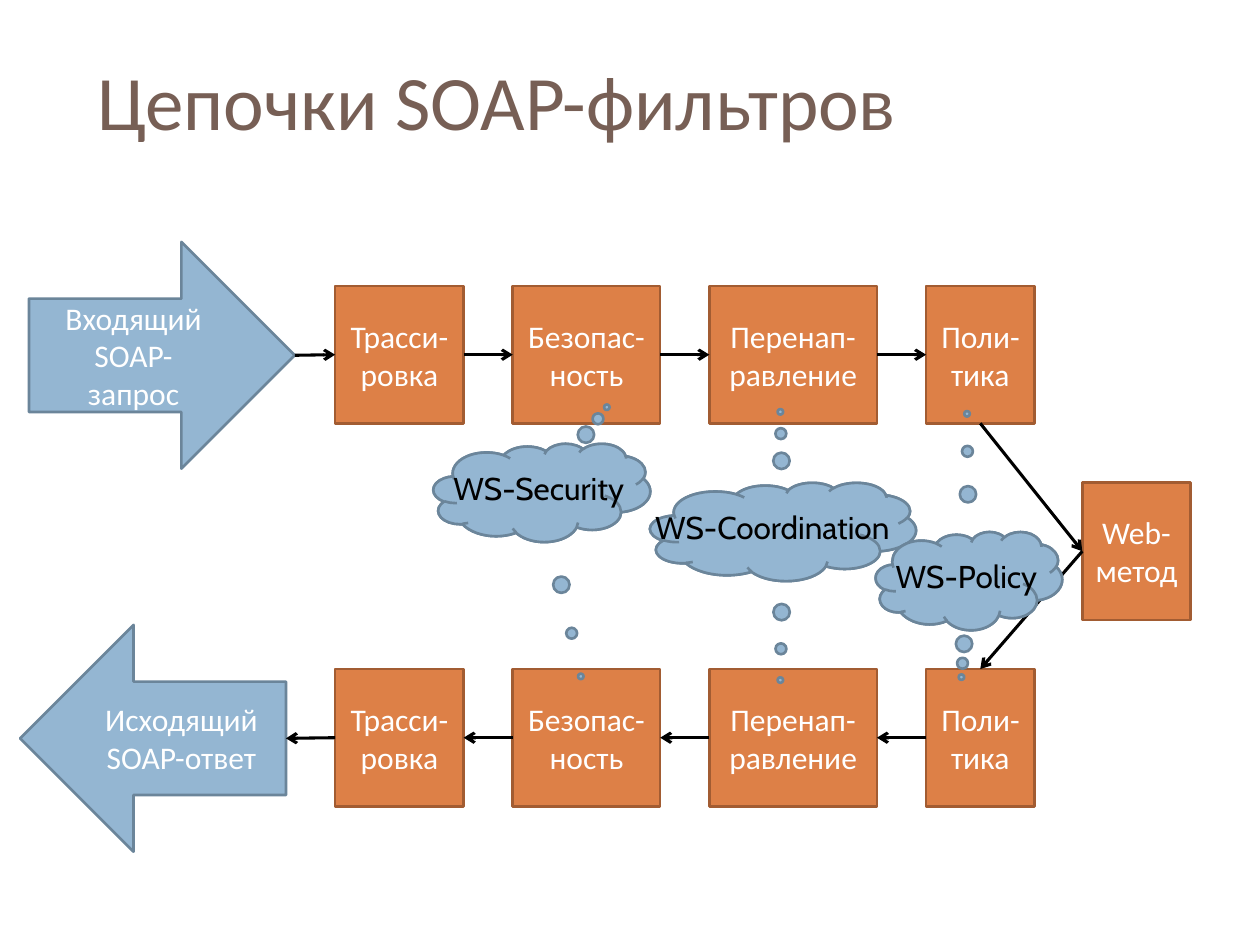
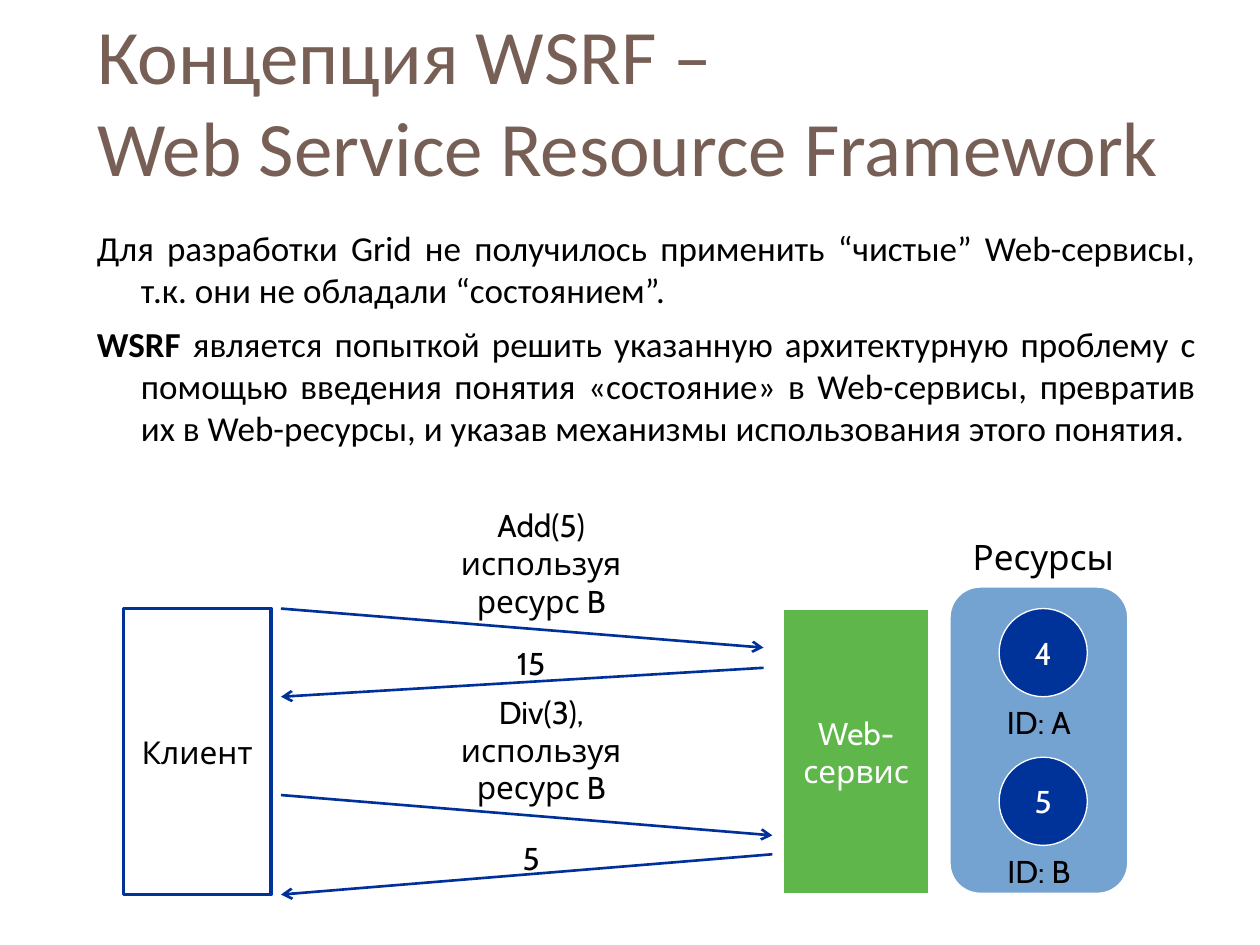
from itertools import pairwise

from lxml.etree import SubElement
from pptx import Presentation
from pptx.dml.color import RGBColor
from pptx.enum.shapes import MSO_CONNECTOR, MSO_SHAPE
from pptx.enum.text import MSO_ANCHOR, MSO_AUTO_SIZE, PP_ALIGN
from pptx.oxml.ns import qn
from pptx.util import Inches, Pt

COLORS = {
    "title": "775F55", "black": "000000", "white": "FFFFFF",
    "filter": "DD8047", "filter_edge": "A25C32",
    "message": "94B6D2", "message_edge": "6B859A",
    "navy": "003399", "call": "003099", "service": "5FB64A", "pool": "75A3D1",
}

# Slide 1: filter chains
CHAIN_TITLE = "Цепочки SOAP-фильтров"
FILTERS = [("Трасси-ровка", 1.02), ("Безопас-ность", 1.17),
           ("Перенап-равление", 1.33), ("Поли-тика", 0.86)]  # text, width
FILTER_LEFT, FILTER_GAP, FILTER_HEIGHT = 2.66, 0.39, 1.09
REQUEST_TOP, RESPONSE_TOP = 2.27, 5.31
REQUEST = ("Входящий SOAP-\nзапрос", (0.23, 1.92, 2.11, 1.8))
RESPONSE = ("Исходящий SOAP-ответ", (0.16, 4.96, 2.11, 1.8))
WEB_METHOD = ("Web-метод", (8.59, 3.83, 0.86, FILTER_HEIGHT))
# standard, cloud box, label left and width, pointers up and down
STANDARDS = [
    ("WS-Coordination", (5.16, 3.83, 2.11, 0.78), (5.1, 2.19),
     [(-0.01, -1.22), (-0.01, 1.51)]),
    ("WS-Security", (3.44, 3.52, 1.72, 0.78), (3.5, 1.59),
     [(0.3, -0.87), (0.18, 1.87)]),
    ("WS-Policy", (6.95, 4.22, 1.48, 0.78), (7.01, 1.33),
     [(-0.01, -1.7), (-0.04, 0.98)]),
]
TOP, LEFT, BOTTOM, RIGHT = range(4)  # connection sites

# Slide 2: WSRF
WSRF_TITLE = "Концепция WSRF –\vWeb Service Resource Framework"
WSRF_TEXT = [  # bold part, plain part
    ("", "Для разработки Grid не получилось применить “чистые” Web-сервисы, "
         "т.к. они не обладали “состоянием”."),
    ("WSRF", " является попыткой решить указанную архитектурную проблему "
             "с помощью введения понятия «состояние» в Web-сервисы, превратив "
             "их в Web-ресурсы, и указав механизмы использования этого понятия."),
]
CLIENT = ("Клиент", (0.98, 4.83, 1.17, 2.27))
SERVICE = ("Web-сервис", (6.21, 4.83, 1.17, 2.27))
POOL = ("Ресурсы", (7.54, 4.2, 1.48, 0.44), (7.54, 4.66, 1.41, 2.43))
RESOURCES = [("4", "ID: A"), ("5", "ID: B")]
RESOURCE_TOP, RESOURCE_STEP, RESOURCE_SIZE = 4.83, 1.18, 0.7
CALLS = [  # text, box, arrow start, arrow end
    ("Add(5) используя ресурс B", (3.32, 3.97, 1.95, 1), (2.23, 4.83), (6.06, 5.14)),
    ("15", (3.24, 5.06, 1.95, 0.4), (6.06, 5.3), (2.23, 5.53)),
    ("Div(3), используя ресурс B", (3.32, 5.45, 1.95, 1), (2.23, 6.31), (6.13, 6.63)),
    ("5", (3.24, 6.61, 1.95, 0.4), (6.13, 6.78), (2.23, 7.1)),
]


def rgb(color):
    return RGBColor.from_string(COLORS[color])


def inches(values):
    return [Inches(value) for value in values]


def style_font(font, size, name, color):
    for key, value in {"size": Pt(size), "name": name}.items():
        setattr(font, key, value)
    font.color.rgb = rgb(color)


def write(frame, text, size=18, name="Cabin", color="black",
          align=PP_ALIGN.CENTER, **frame_format):
    frame.text = text
    for key, value in {"word_wrap": True, **frame_format}.items():
        setattr(frame, key, value)
    for paragraph in frame.paragraphs:
        paragraph.alignment = align
        for run in paragraph.runs:
            style_font(run.font, size, name, color)


def add_titled_slide(deck, text):
    slide = deck.slides.add_slide(deck.slide_layouts[5])
    title = slide.shapes.title
    title.left, title.top, title.width, title.height = inches((0.67, 0.25, 8.92, 1.08))
    write(title.text_frame, text, 44, "Calibri", "title", PP_ALIGN.LEFT,
          vertical_anchor=MSO_ANCHOR.MIDDLE, auto_size=MSO_AUTO_SIZE.NONE)
    return slide


def add_figure(slide, kind, box, fill, edge, weight, text="", **text_format):
    figure = slide.shapes.add_shape(kind, *inches(box))
    figure.shadow.inherit = False
    figure.fill.solid()
    figure.fill.fore_color.rgb = rgb(fill)
    figure.line.color.rgb = rgb(edge)
    figure.line.width = Pt(weight)
    if text:
        write(figure.text_frame, text, vertical_anchor=MSO_ANCHOR.MIDDLE, **text_format)
    return figure


def add_label(slide, text, box, **text_format):
    label = slide.shapes.add_textbox(*inches(box))
    write(label.text_frame, text, auto_size=MSO_AUTO_SIZE.SHAPE_TO_FIT_TEXT, **text_format)


def add_arrow(slide, start, end, color, weight):
    arrow = slide.shapes.add_connector(MSO_CONNECTOR.STRAIGHT, *inches(start + end))
    arrow.line.color.rgb = rgb(color)
    arrow.line.width = Pt(weight)
    SubElement(arrow.line._get_or_add_ln(), qn("a:tailEnd"), type="arrow")
    SubElement(arrow._element.spPr, qn("a:effectLst"))
    return arrow


def link(slide, source, source_site, target, target_site):
    """Glue an arrow between the connection sites of two shapes."""
    arrow = add_arrow(slide, (0, 0), (1, 1), "black", 1.75)
    arrow.begin_connect(source, source_site)
    arrow.end_connect(target, target_site)


def add_filter(slide, text, box):
    return add_figure(slide, MSO_SHAPE.RECTANGLE, box, "filter", "filter_edge", 1.5,
                      text, name="Calibri", color="white")


def add_filter_row(slide, top):
    row, left = [], FILTER_LEFT
    for text, width in FILTERS:
        row.append(add_filter(slide, text, (left, top, width, FILTER_HEIGHT)))
        left += width + FILTER_GAP
    return row


def add_message(slide, kind, message):
    text, box = message
    return add_figure(slide, kind, box, "message", "message_edge", 1.5,
                      text, name="Calibri", color="white")


def build_chain_slide(deck):
    slide = add_titled_slide(deck, CHAIN_TITLE)
    request = add_message(slide, MSO_SHAPE.RIGHT_ARROW, REQUEST)
    response = add_message(slide, MSO_SHAPE.LEFT_ARROW, RESPONSE)
    inbound = add_filter_row(slide, REQUEST_TOP)
    outbound = add_filter_row(slide, RESPONSE_TOP)
    web_method = add_filter(slide, *WEB_METHOD)

    for source, target in pairwise([request, *inbound]):
        link(slide, source, RIGHT, target, LEFT)
    link(slide, inbound[-1], BOTTOM, web_method, LEFT)
    link(slide, web_method, LEFT, outbound[-1], TOP)
    for target, source in pairwise([response, *outbound]):
        link(slide, source, LEFT, target, RIGHT)

    for standard, box, (label_left, label_width), pointers in STANDARDS:
        for pointer in pointers:
            cloud = add_figure(slide, MSO_SHAPE.CLOUD_CALLOUT, box,
                               "message", "message_edge", 1.5)
            cloud.adjustments[0], cloud.adjustments[1] = pointer
        add_label(slide, standard, (label_left, box[1] + 0.15, label_width, 0.4),
                  align=PP_ALIGN.LEFT, word_wrap=False)


def add_wsrf_text(slide):
    body = slide.shapes.add_textbox(*inches((0.67, 1.75, 8.92, 2.1))).text_frame
    body.word_wrap = True
    for index, (bold, plain) in enumerate(WSRF_TEXT):
        paragraph = body.add_paragraph() if index else body.paragraphs[0]
        paragraph.alignment = PP_ALIGN.JUSTIFY
        if index:
            paragraph.space_before = Pt(7)
        properties = paragraph._p.get_or_add_pPr()
        properties.set("marL", str(Inches(0.35)))
        properties.set("indent", str(-Inches(0.35)))
        for text, is_bold in ((bold, True), (plain, False)):
            if text:
                run = paragraph.add_run()
                run.text = text
                run.font.bold = is_bold
                style_font(run.font, 20, "Calibri", "black")


def build_wsrf_slide(deck):
    slide = add_titled_slide(deck, WSRF_TITLE)
    add_wsrf_text(slide)

    heading, heading_box, pool_box = POOL
    pool = add_figure(slide, MSO_SHAPE.ROUNDED_RECTANGLE, pool_box, "pool", "white", 0.75)
    pool.adjustments[0] = 0.17
    add_label(slide, heading, heading_box, size=20)
    for index, (state, identifier) in enumerate(RESOURCES):
        top = RESOURCE_TOP + index * RESOURCE_STEP
        add_figure(slide, MSO_SHAPE.OVAL, (7.93, top, RESOURCE_SIZE, RESOURCE_SIZE),
                   "navy", "white", 0.75, state, color="white")
        add_label(slide, identifier, (7.62, top + RESOURCE_SIZE, 1.25, 0.4))

    for (text, box), fill, edge, color in ((CLIENT, "white", "navy", "black"),
                                           (SERVICE, "service", "white", "white")):
        add_figure(slide, MSO_SHAPE.RECTANGLE, box, fill, edge, 2, text, color=color)
    for text, box, start, end in CALLS:
        add_arrow(slide, start, end, "call", 1.5)
        add_label(slide, text, box)


def main():
    deck = Presentation()
    deck.slide_width, deck.slide_height = Inches(10), Inches(7.5)
    build_chain_slide(deck)
    build_wsrf_slide(deck)
    deck.save("out.pptx")


if __name__ == "__main__":
    main()
